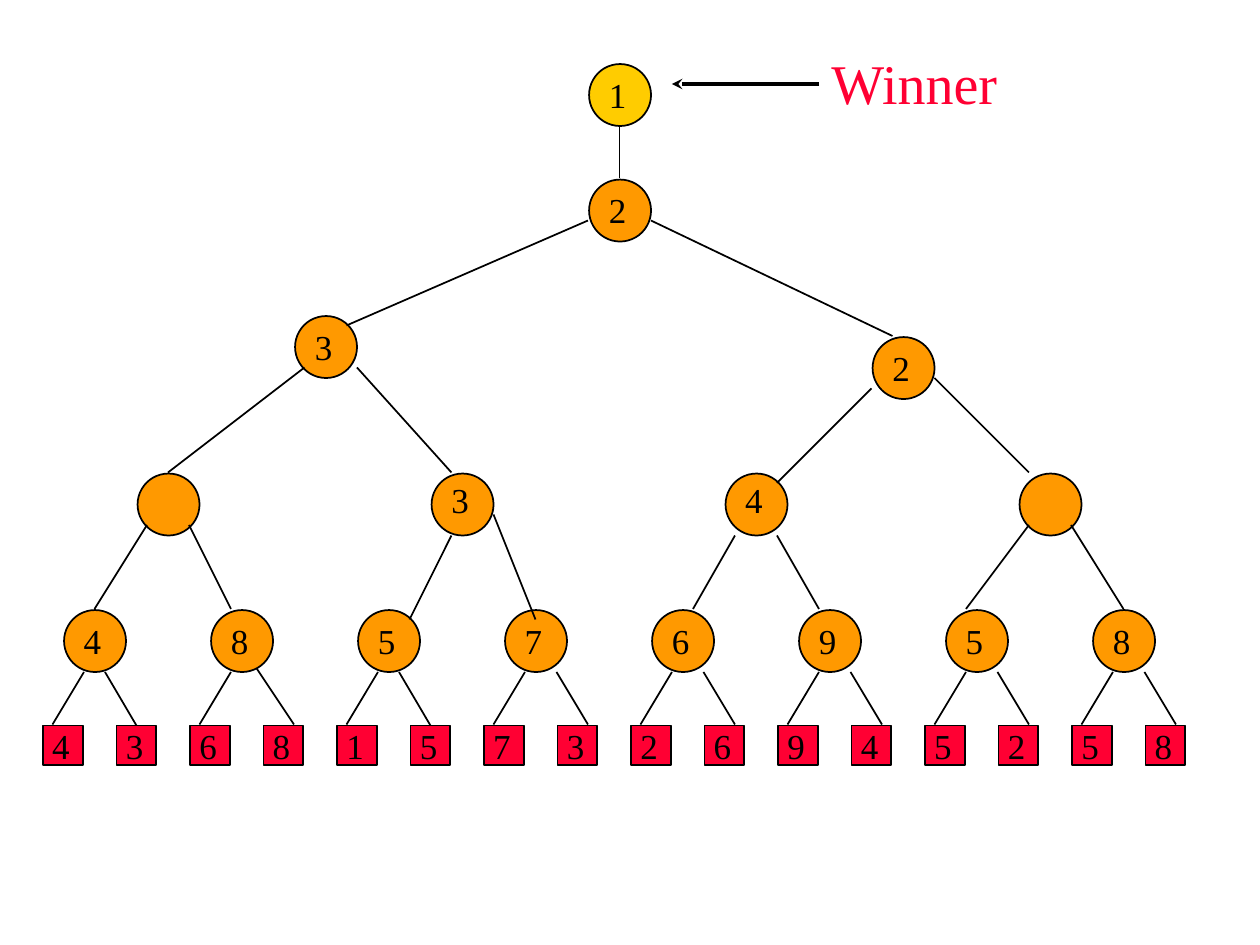
"""Build a slide showing a tournament tree with its overall winner."""
import dataclasses

import lxml.etree
import pptx
import pptx.dml.color
import pptx.enum.shapes
import pptx.enum.text
import pptx.oxml.ns
import pptx.util


@dataclasses.dataclass(frozen=True)
class Theme:
    font: str = "Times New Roman"
    ink: str = "000000"
    leaf: str = "FF0033"
    match: str = "FF9900"
    champion: str = "FFCC00"
    key_size: int = 20
    label_size: int = 32


THEME = Theme()
PX = 914400 // 120
LEAF, NODE, STEP = 38, 59, 70
LEAF_TOP, MATCH_TOP = 691, 581
RGB = pptx.dml.color.RGBColor.from_string
SHAPE = pptx.enum.shapes.MSO_SHAPE

deck = pptx.Presentation()
deck.slide_width, deck.slide_height = 1200 * PX, 900 * PX
slide = deck.slides.add_slide(deck.slide_layouts[6])


def add_line(start, end, width=1):
    edge = slide.shapes.add_connector(
        pptx.enum.shapes.MSO_CONNECTOR.STRAIGHT, *(v * PX for v in (*start, *end)))
    edge.line.color.rgb = RGB(THEME.ink)
    edge.line.width = pptx.util.Pt(width)
    lxml.etree.SubElement(edge._element.spPr, pptx.oxml.ns.qn("a:effectLst"))
    return edge


def add_text(words, box, size, color, wrap=False):
    label = slide.shapes.add_textbox(*(v * PX for v in box))
    label.text_frame.word_wrap = wrap
    label.text_frame.auto_size = pptx.enum.text.MSO_AUTO_SIZE.SHAPE_TO_FIT_TEXT
    run = label.text_frame.paragraphs[0].add_run()
    run.text = words
    run.font.name = THEME.font
    run.font.size = pptx.util.Pt(size)
    run.font.color.rgb = RGB(color)
    return label


players = "4368157326" + "945258"
matches = [(61 + 2 * STEP * i, MATCH_TOP, key) for i, key in enumerate("48576958")]
semifinals = [(131 + 4 * STEP * i, 451, key) for i, key in enumerate(["", "3", "4", ""])]
finals = [(281, 301, "3"), (831, 321, "2"), (561, 171, "2")]
champion = (561, 61, "1")

leaves = []
for i in range(len(players)):
    leaf = slide.shapes.add_shape(
        SHAPE.RECTANGLE, (41 + STEP * i) * PX, LEAF_TOP * PX, LEAF * PX, LEAF * PX)
    leaf.fill.solid()
    leaf.fill.fore_color.rgb = RGB(THEME.leaf)
    leaves.append(leaf)

right_starts = [(100, 640), (240, 630), (380, 640)]
right_starts += [(530 + 2 * STEP * i, 640) for i in range(5)]
right_ends = [130, 280, 410] + [560 + 2 * STEP * i for i in range(5)]
for i, (start, end) in enumerate(zip(right_starts, right_ends)):
    left = 2 * STEP * i
    add_line((80 + left, 640), (50 + left, 690))
    branch = add_line(start, (end, 690))
    if end == 130 + left:
        branch.end_connect(leaves[2 * i + 1], 0)

nodes = []
for left, top, key in matches + semifinals + finals + [champion]:
    node = slide.shapes.add_shape(SHAPE.OVAL, left * PX, top * PX, NODE * PX, NODE * PX)
    node.fill.solid()
    is_champion = (left, top, key) == champion
    node.fill.fore_color.rgb = RGB(THEME.champion if is_champion else THEME.match)
    nodes.append(node)

for competitor in leaves + nodes:
    competitor.shadow.inherit = False
    competitor.line.color.rgb = RGB(THEME.ink)
    competitor.line.width = pptx.util.Pt(1)

branches = [
    ((590, 120), (590, 170)),
    ((560, 210), (330, 310)), ((620, 210), (850, 320)),
    ((290, 350), (160, 450)), ((340, 350), (430, 450)),
    ((830, 370), (740, 460)), ((890, 360), (980, 450)),
    ((140, 500), (90, 580)), ((180, 500), (220, 580)),
    ((430, 510), (390, 590)), ((470, 490), (510, 590)),
    ((700, 510), (660, 580)), ((740, 510), (780, 580)),
    ((980, 500), (920, 580)), ((1020, 500), (1070, 580)),
]
for start, end in branches:
    add_line(start, end)

keys = [(38 + STEP * i, 684, key) for i, key in enumerate(players)]
keys += [(left + 7, top + 3, key) for left, top, key in matches + finals + [champion]]
keys += [(left + 7, top - 1, key) for left, top, key in semifinals if key]
for left, top, key in keys:
    add_text(key, (left, top, 41, 52), THEME.key_size, THEME.ink)

winner = add_text("Winner", (780, 40, 380, 76), THEME.label_size, THEME.leaf, wrap=True)
winner.text_frame.paragraphs[0].space_before = pptx.util.Pt(20)
pointer = add_line((780, 80), (640, 80), 2)
lxml.etree.SubElement(
    pointer.line._get_or_add_ln(), pptx.oxml.ns.qn("a:tailEnd"), type="stealth")

deck.save("out.pptx")
